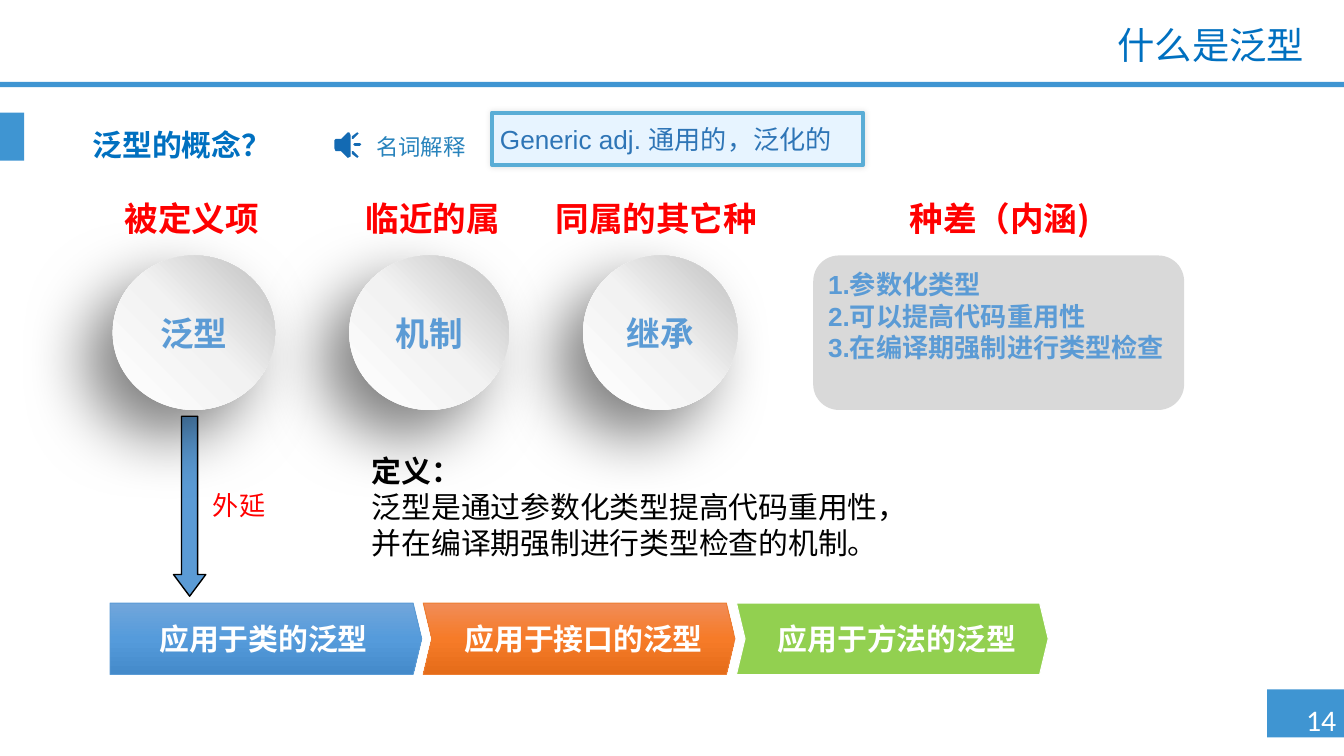
from dataclasses import dataclass

import pptx
import pptx.dml.color
import pptx.enum.shapes
import pptx.enum.text
import pptx.oxml
import pptx.oxml.ns
import pptx.util
from pptx.util import Cm

Kind = pptx.enum.shapes.MSO_SHAPE
Align = pptx.enum.text.PP_ALIGN
Anchor = pptx.enum.text.MSO_ANCHOR
LEFT, MID, RIGHT = Align.LEFT, Align.CENTER, Align.RIGHT


# Colours, fonts and type sizes
@dataclass(frozen=True)
class Theme:
    bar: str = "3F95D2"
    title: str = "0070C0"
    alert: str = "FF0000"
    blue: str = "5B9BD5"
    dark: str = "2E75B6"
    note: str = "2883BC"
    icon: str = "136AB3"
    pale: str = "E7F4FF"
    edge: str = "5AADD6"
    gray: str = "D9D9D9"
    white: str = "FFFFFF"
    black: str = "000000"
    sans: str = "Arial"
    han: str = "Noto Sans CJK SC"
    num: str = "Calibri"
    big: int = 20
    head: int = 18
    body: int = 16
    small: int = 14
    tiny: int = 12


T = Theme()


@dataclass(frozen=True)
class Type:
    size: int
    color: str
    font: str = T.han
    bold: bool = False
    align: Align = MID


@dataclass(frozen=True)
class Shade:
    alpha: int
    blur: int
    dist: int
    angle: int


@dataclass(frozen=True)
class Chip:
    kind: Kind
    text: str
    fill: str | tuple
    line: str
    inset: float


def rgb(code: str):
    return pptx.dml.color.RGBColor.from_string(code)


def put(item, **form) -> None:
    for key, value in form.items():
        setattr(item, key, value)


def node(body: str):
    return pptx.oxml.parse_xml(body.replace(" ", f" {pptx.oxml.ns.nsdecls('a')} ", 1))


def write(shape, lines: list[str], kind: Type, pad=(0.25, 0.13, 0.25, 0.13),
          anchor=Anchor.TOP, wrap=True, space=1.0, lead=False) -> None:
    """Fill a shape with paragraphs; lead makes the first one bold."""
    sides = ("margin_left", "margin_top", "margin_right", "margin_bottom")
    frame = shape.text_frame
    put(frame, word_wrap=wrap, vertical_anchor=anchor,
        **{side: Cm(gap) for side, gap in zip(sides, pad)})
    for row, line in enumerate(lines):
        para = frame.add_paragraph() if row else frame.paragraphs[0]
        put(para, alignment=kind.align, line_spacing=space)
        run = para.add_run()
        run.text = line
        put(run.font, name=kind.font, size=pptx.util.Pt(kind.size),
            bold=kind.bold or (lead and row == 0))
        run.font.color.rgb = rgb(kind.color)
        run.font._element.append(node(f'<a:ea typeface="{T.han}"/>'))


def label(slide, box: tuple, lines: list[str], kind: Type, **form) -> None:
    write(slide.shapes.add_textbox(*map(Cm, box)), lines, kind, **form)


def paint(shape, fill: str | tuple, line: str = "", width: float = 0.5,
          angle: int = 90, shade: Shade | None = None) -> None:
    """Set fill (one colour or gradient stops), outline and shadow."""
    shape.shadow.inherit = False
    props = shape._element.spPr
    if isinstance(fill, str):
        shape.fill.solid()
        shape.fill.fore_color.rgb = rgb(fill)
    else:
        shape.fill.background()
        stops = "".join(f'<a:gs pos="{at * 1000}"><a:srgbClr val="{code}"/></a:gs>'
                        for at, code in fill)
        old = props.find(pptx.oxml.ns.qn("a:noFill"))
        props.replace(old, node(f'<a:gradFill rotWithShape="1"><a:gsLst>{stops}</a:gsLst>'
                                f'<a:lin ang="{angle * 60000}" scaled="0"/></a:gradFill>'))
    if line:
        shape.line.color.rgb = rgb(line)
        shape.line.width = pptx.util.Pt(width)
    else:
        shape.line.fill.background()
    if shade:
        props.find(pptx.oxml.ns.qn("a:effectLst")).append(node(
            f'<a:outerShdw blurRad="{shade.blur * 12700}" dist="{shade.dist * 12700}" '
            f'dir="{shade.angle * 60000}" algn="ctr" rotWithShape="0">'
            f'<a:srgbClr val="{T.black}"><a:alpha val="{shade.alpha * 1000}"/>'
            '</a:srgbClr></a:outerShdw>'))


def block(slide, kind: Kind, box: tuple, fill: str | tuple, **form):
    shape = slide.shapes.add_shape(kind, *map(Cm, box))
    paint(shape, fill, **form)
    return shape


def speaker(slide, left: float, top: float) -> None:
    parts = [
        [(0, 6), (0, 12), (1, 14), (5, 14), (10, 19), (12, 18),
         (12, 2), (11, 0), (10, 0), (5, 5), (1, 5)],
        [(14, 9), (15, 8), (19, 8), (20, 9), (19, 10), (15, 10)],
        [(13, 5), (13, 3), (17, 0), (18, 1), (14, 5)],
        [(13, 14), (13, 16), (17, 19), (18, 18), (14, 14)],
    ]
    pen = slide.shapes.build_freeform(*parts[0][0], scale=Cm(0.51) / 20)
    for turn, part in enumerate(parts):
        if turn:
            pen.move_to(*part[0])
        pen.add_line_segments(part[1:], close=True)
    paint(pen.convert_to_shape(Cm(left), Cm(top)), T.icon)


def main() -> None:
    deck = pptx.Presentation()
    put(deck, slide_width=Cm(25.4), slide_height=Cm(14.29))
    slide = deck.slides.add_slide(deck.slide_layouts[6])

    # Frame bars and page number
    for box in [(23.95, 13.03, 1.45, 0.91), (0, 1.55, 25.4, 0.1), (0, 2.13, 0.46, 0.91)]:
        block(slide, Kind.RECTANGLE, box, T.bar)
    label(slide, (24.31, 13.13, 1.32, 0.94), ["14"], Type(T.body, T.white, T.num), wrap=False)

    # Titles
    label(slide, (6.1, 0.38, 18.8, 1.02), ["什么是泛型"],
          Type(T.big, T.title, T.sans, align=RIGHT), space=0.9)
    label(slide, (1.5, 2.34, 5, 0.99), ["泛型的概念？"],
          Type(T.body, T.title, bold=True, align=LEFT), space=0.9)

    # Column heads
    for left, width, text in [(1.9, 3.45, "被定义项"), (6.25, 3.86, "临近的属"),
                              (10.21, 4.39, "同属的其它种"), (16.43, 4.93, "种差（内涵)")]:
        label(slide, (left, 3.61, width, 1.02), [text], Type(T.head, T.alert, bold=True))

    # Arrow down to the kinds of generics
    arrow = block(slide, Kind.DOWN_ARROW, (3.28, 7.87, 0.61, 3.4), T.blue,
                  line=T.black, width=0.75)
    arrow.adjustments[1] = 0.67
    label(slide, (3.48, 9.12, 2.08, 1.8), ["外延"], Type(T.small, T.alert))

    # Chain of chips
    chips = [
        Chip(Kind.PENTAGON, "应用于类的泛型",
             ((0, "71A6DB"), (50, "559BDB"), (100, "448ACA")), T.blue, 0),
        Chip(Kind.CHEVRON, "应用于接口的泛型",
             ((0, "F18C57"), (50, "F67B28"), (100, "E56C19")), "ED7D31", 0.18),
        Chip(Kind.CHEVRON, "应用于方法的泛型", "92D050", T.white, 0.18),
    ]
    for turn, chip in enumerate(chips):
        shape = block(slide, chip.kind, (2.08 + 5.92 * turn, 11.4, 5.89, 1.35),
                      chip.fill, line=chip.line)
        shape.adjustments[0] = 0.12
        write(shape, [chip.text], Type(T.body, T.white, bold=True),
              pad=(chip.inset, 0, 0, 0), anchor=Anchor.MIDDLE)

    # Discs
    glow = ((0, T.white), (51, "F2F2F2"), (100, "BFBFBF"))
    for left, width, text in [(2.13, 3.07, "泛型"), (6.6, 3.02, "机制"), (11.02, 2.92, "继承")]:
        disc = block(slide, Kind.OVAL, (left, 4.83, width, 2.92), glow,
                     angle=315, shade=Shade(50, 35, 20, 135))
        write(disc, [text], Type(T.head, T.blue, T.sans, True),
              pad=(0, 0, 0, 0), anchor=Anchor.MIDDLE)

    # Panel of distinguishing traits
    panel = block(slide, Kind.ROUNDED_RECTANGLE, (15.37, 4.83, 7.01, 2.92), T.gray)
    write(panel, ["1.参数化类型", "2.可以提高代码重用性", "3.在编译期强制进行类型检查"],
          Type(T.small, T.blue, T.sans, True, LEFT), pad=(0.14, 0.11, 0.19, 0))

    # Definition
    label(slide, (6.78, 8.43, 12.32, 2.31),
          ["定义：", "泛型是通过参数化类型提高代码重用性，", "并在编译期强制进行类型检查的机制。"],
          Type(T.body, T.black, T.sans, align=LEFT), lead=True)

    # Word note
    label(slide, (7.11, 2.51, 1.7, 0.51), ["名词解释"], Type(T.tiny, T.note, align=LEFT),
          pad=(0, 0, 0, 0), wrap=False)
    speaker(slide, 6.32, 2.5)
    card = block(slide, Kind.RECTANGLE, (9.3, 2.13, 7.01, 0.99), T.pale,
                 line=T.edge, width=2.25, shade=Shade(10, 3, 0, 0))
    write(card, ["Generic adj. 通用的，泛化的"],
          Type(T.small, T.dark, T.sans, align=LEFT), pad=(0.15, 0.2, 0.15, 0))

    deck.save("out.pptx")


if __name__ == "__main__":
    main()
